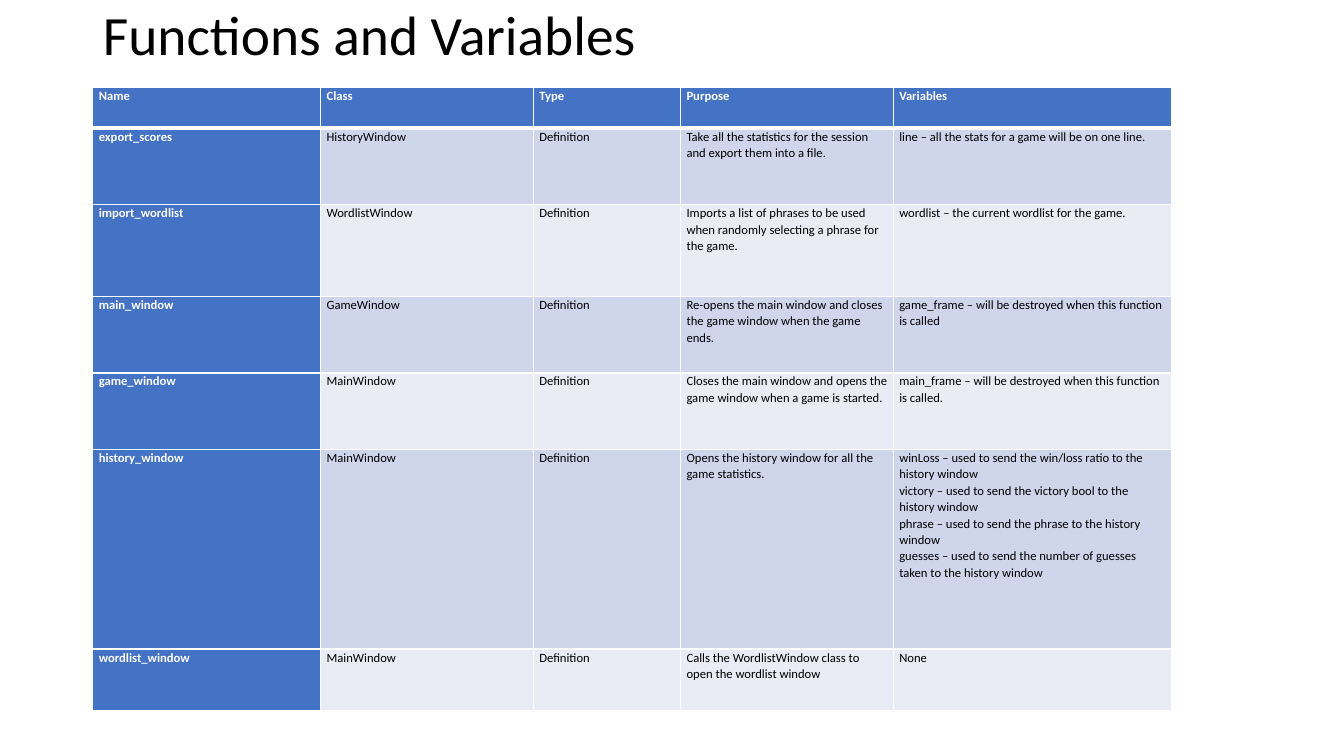
import pptx
import pptx.util
import pptx.oxml
import pptx.oxml.ns
import pptx.dml.color
import pptx.enum.text

Inches = pptx.util.Inches
Pt = pptx.util.Pt
RGBColor = pptx.dml.color.RGBColor

BLACK = RGBColor(0x00, 0x00, 0x00)
WHITE = RGBColor(0xFF, 0xFF, 0xFF)
BLUE = RGBColor(0x44, 0x72, 0xC4)
DARK_BAND = RGBColor(0xCF, 0xD5, 0xEA)
LIGHT_BAND = RGBColor(0xE9, 0xEB, 0xF5)

# Content: each line of a cell is one paragraph
TITLE = "Functions and Variables"
HEADER = ("Name", "Class", "Type", "Purpose", "Variables")
FUNCTIONS = [
    ("export_scores", "HistoryWindow", "Definition",
     "Take all the statistics for the session and export them into a file.",
     "line – all the stats for a game will be on one line."),
    ("import_wordlist", "WordlistWindow", "Definition",
     "Imports a list of phrases to be used when randomly selecting a phrase for the game.",
     "wordlist – the current wordlist for the game."),
    ("main_window", "GameWindow", "Definition",
     "Re-opens the main window and closes the game window when the game ends.",
     "game_frame – will be destroyed when this function is called"),
    ("game_window", "MainWindow", "Definition",
     "Closes the main window and opens the game window when a game is started.",
     "main_frame – will be destroyed when this function is called."),
    ("history_window", "MainWindow", "Definition",
     "Opens the history window for all the game statistics.",
     "winLoss – used to send the win/loss ratio to the history window\n"
     "victory – used to send the victory bool to the history window\n"
     "phrase – used to send the phrase to the history window\n"
     "guesses – used to send the number of guesses taken to the history window"),
    ("wordlist_window", "MainWindow", "Definition",
     "Calls the WordlistWindow class to open the wordlist window", "None"),
]
ROWS = [HEADER] + FUNCTIONS
COLUMN_WIDTHS = (2.26, 2.11, 1.46, 2.11, 2.76)
ROW_HEIGHTS = (0.4, 0.76, 0.91, 0.76, 0.76, 1.98, 0.61)

LEFT = 0.92
TABLE_TOP = 0.87
CELL_FORMAT = {"margin_left": Inches(0.06), "margin_right": Inches(0.06),
               "margin_top": 0, "margin_bottom": 0}


def apply(target, values):
    for name, value in values.items():
        setattr(target, name, value)


def format_text(text_frame, line_spacing, size, color, bold):
    for paragraph in text_frame.paragraphs:
        apply(paragraph, {"line_spacing": line_spacing,
                          "alignment": pptx.enum.text.PP_ALIGN.LEFT})
        for run in paragraph.runs:
            apply(run.font, {"name": "Calibri", "size": Pt(size), "bold": bold})
            run.font.color.rgb = color


def add_borders(cell, widths):
    properties = cell._tc.get_or_add_tcPr()
    for side, width in widths.items():
        properties.append(pptx.oxml.parse_xml(
            f'<a:ln{side} {pptx.oxml.ns.nsdecls("a")} w="{Pt(width)}">'
            f'<a:solidFill><a:srgbClr val="{WHITE}"/></a:solidFill></a:ln{side}>'))


presentation = pptx.Presentation()
apply(presentation, {"slide_width": Inches(13.33), "slide_height": Inches(7.5)})
slide = presentation.slides.add_slide(presentation.slide_layouts[5])

# Title
title = slide.shapes.title
apply(title, {"left": Inches(LEFT), "top": 0,
              "width": Inches(11.5), "height": Inches(0.75)})
title.text_frame.text = TITLE
apply(title.text_frame, {"vertical_anchor": pptx.enum.text.MSO_ANCHOR.MIDDLE,
                         "auto_size": pptx.enum.text.MSO_AUTO_SIZE.NONE})
format_text(title.text_frame, 0.9, 39.6, BLACK, False)

# Table frame
table = slide.shapes.add_table(
    len(ROWS), len(HEADER), Inches(LEFT), Inches(TABLE_TOP),
    Inches(sum(COLUMN_WIDTHS)), Inches(sum(ROW_HEIGHTS))).table
for column, width in zip(table.columns, COLUMN_WIDTHS):
    column.width = Inches(width)
for row, height in zip(table.rows, ROW_HEIGHTS):
    row.height = Inches(height)

# Table cells: blue header row and name column, banded body
for row_index, texts in enumerate(ROWS):
    band = DARK_BAND if row_index % 2 else LIGHT_BAND
    for column_index, text in enumerate(texts):
        is_heading = row_index == 0 or column_index == 0
        cell = table.cell(row_index, column_index)
        cell.text = text
        apply(cell, CELL_FORMAT)
        add_borders(cell, {"L": 1, "R": 1, "T": 3 if row_index == 1 else 1,
                           "B": 3 if row_index == 0 else 1})
        cell.fill.solid()
        cell.fill.fore_color.rgb = BLUE if is_heading else band
        format_text(cell.text_frame, 1.07, 9, WHITE if is_heading else BLACK, is_heading)

presentation.save("out.pptx")
